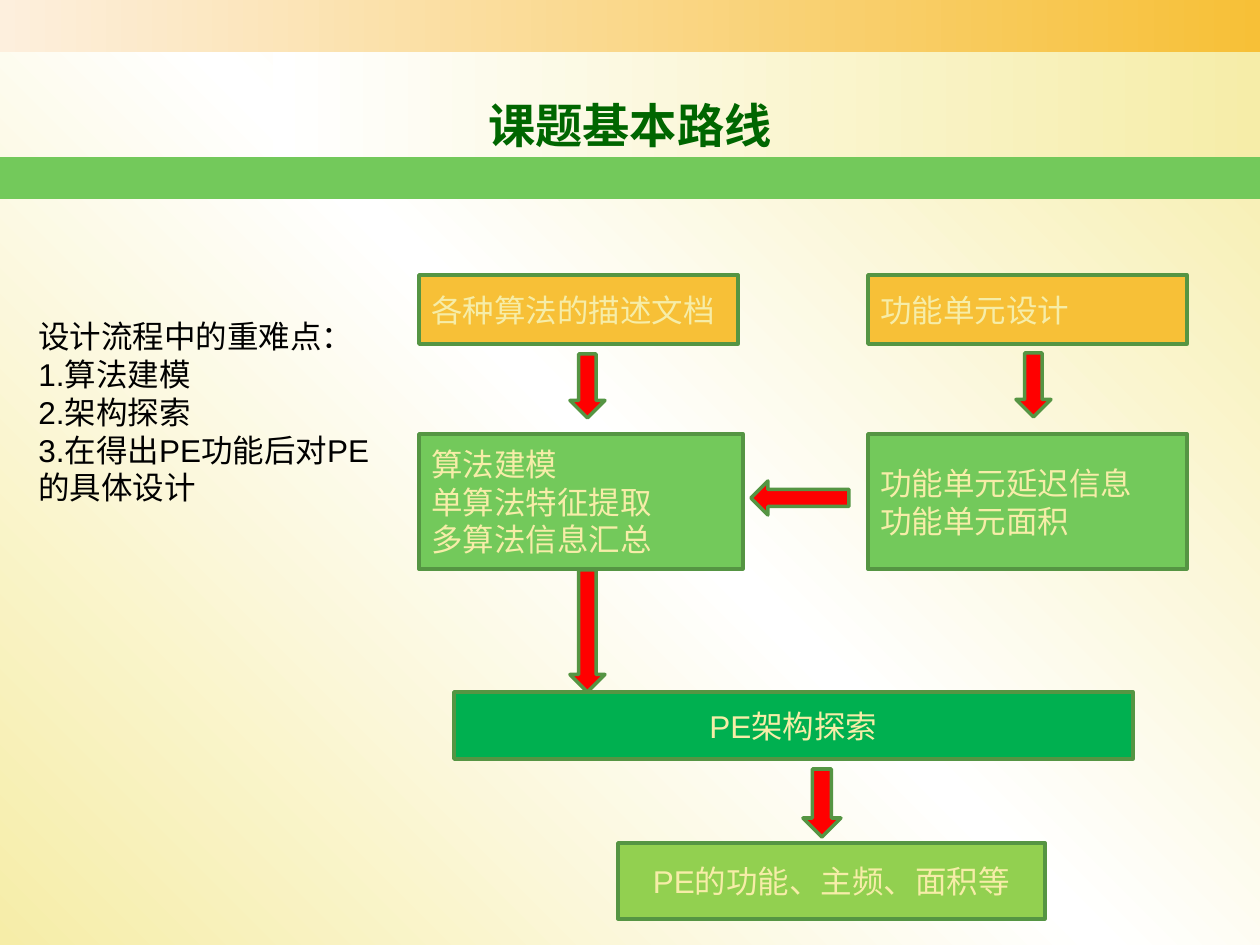
from copy import deepcopy

from lxml.etree import SubElement
from pptx import Presentation
from pptx.dml.color import RGBColor
from pptx.enum.shapes import MSO_SHAPE
from pptx.enum.text import MSO_ANCHOR, PP_ALIGN
from pptx.oxml.ns import qn
from pptx.util import Emu, Inches, Pt

PIXEL = Inches(1) // 126
CREAM, WHITE, AMBER, LEAF = "F6EDA8", "FFFFFF", "F7C037", "73C95B"
EMERALD, LIME, RED, OUTLINE = "00B050", "92D050", "FF0000", "559543"
LATIN, CHINESE = "Arial", "Noto Sans CJK SC"


def color(hex_string):
    """Turn a hex string into a colour."""
    return RGBColor.from_string(hex_string)


def pixels(*lengths):
    """Turn pixel lengths into EMU."""
    return [Emu(length * PIXEL) for length in lengths]


def paint(fill, colors, angle=0):
    """Fill with one colour, or with an even gradient of several."""
    if len(colors) == 1:
        fill.solid()
        fill.fore_color.rgb = color(colors[0])
        return
    fill.gradient()
    fill.gradient_angle = angle
    first_stop = fill.gradient_stops[0]._gs
    for _ in colors[2:]:
        first_stop.addnext(deepcopy(first_stop))
    for index, stop in enumerate(fill.gradient_stops):
        stop.position = index / (len(colors) - 1)
        stop.color.rgb = color(colors[index])


class SlideBuilder:
    """Hold the current slide and the style of its elements."""

    def __init__(self, slide):
        """Keep the slide to draw on."""
        self.slide = slide

    def shape(self, kind, box, *colors, outlined=True):
        """Add a filled preset shape."""
        shape = self.slide.shapes.add_shape(kind, *pixels(*box))
        shape.shadow.inherit = False
        paint(shape.fill, colors)
        if outlined:
            shape.line.color.rgb = color(OUTLINE)
            shape.line.width = Pt(2)
        else:
            shape.line.fill.background()
        return shape

    def label(self, shape, lines, text_color, align=PP_ALIGN.LEFT,
              anchor=MSO_ANCHOR.MIDDLE, size=18, font=LATIN, bold=False):
        """Put one paragraph per line into a shape."""
        frame = shape.text_frame
        frame.word_wrap = True
        frame.vertical_anchor = anchor
        frame.text = "\n".join(lines)
        for paragraph in frame.paragraphs:
            paragraph.alignment = align
            paragraph.font.size = Pt(size)
            paragraph.font.bold = bold
            paragraph.font.name = font
            paragraph.font.color.rgb = color(text_color)
            SubElement(paragraph.font._rPr, qn("a:ea"), typeface=CHINESE)

    def band(self, box, *colors):
        """Add a plain decorative band."""
        self.shape(MSO_SHAPE.RECTANGLE, box, *colors, outlined=False)

    def step(self, box, fill, lines, align=PP_ALIGN.LEFT):
        """Add a labelled box of the flow."""
        shape = self.shape(MSO_SHAPE.RECTANGLE, box, fill)
        self.label(shape, lines, CREAM, align)

    def text(self, box, lines, text_color, **style):
        """Add a text box."""
        shape = self.slide.shapes.add_textbox(*pixels(*box))
        self.label(shape, lines, text_color, **style)


presentation = Presentation()
presentation.slide_width, presentation.slide_height = pixels(1260, 945)
slide = presentation.slides.add_slide(presentation.slide_layouts[6])
paint(slide.background.fill, [CREAM, WHITE, CREAM], angle=45)
builder = SlideBuilder(slide)

builder.band((0, 0, 1260, 52), "FDEFDD", AMBER)
builder.band((273, 52, 987, 105), WHITE, CREAM)
builder.band((0, 157, 1260, 42), LEAF)
builder.text((87, 66, 1086, 117), ["课题基本路线"], "006600",
             align=PP_ALIGN.CENTER, size=27, font=CHINESE, bold=True)
builder.text((26, 311, 369, 204),
             ["设计流程中的重难点：", "1.算法建模", "2.架构探索",
              "3.在得出PE功能后对PE的具体设计"],
             "000000", anchor=MSO_ANCHOR.TOP)

for box, fill, lines in [
    ((419, 434, 324, 135), LEAF, ["算法建模", "单算法特征提取", "多算法信息汇总"]),
    ((419, 275, 319, 69), AMBER, ["各种算法的描述文档"]),
    ((868, 275, 319, 69), AMBER, ["功能单元设计"]),
    ((868, 434, 319, 135), LEAF, ["功能单元延迟信息", "功能单元面积"]),
]:
    builder.step(box, fill, lines)

for box in [(570, 354, 35, 64), (1016, 353, 35, 64),
            (570, 570, 35, 122), (803, 769, 38, 68)]:
    builder.shape(MSO_SHAPE.DOWN_ARROW, box, RED)
builder.shape(MSO_SHAPE.LEFT_ARROW, (751, 481, 98, 34), RED)

builder.step((454, 692, 679, 67), EMERALD, ["PE架构探索"], PP_ALIGN.CENTER)
builder.step((618, 843, 427, 76), LIME, ["PE的功能、主频、面积等"], PP_ALIGN.CENTER)

presentation.save("out.pptx")
